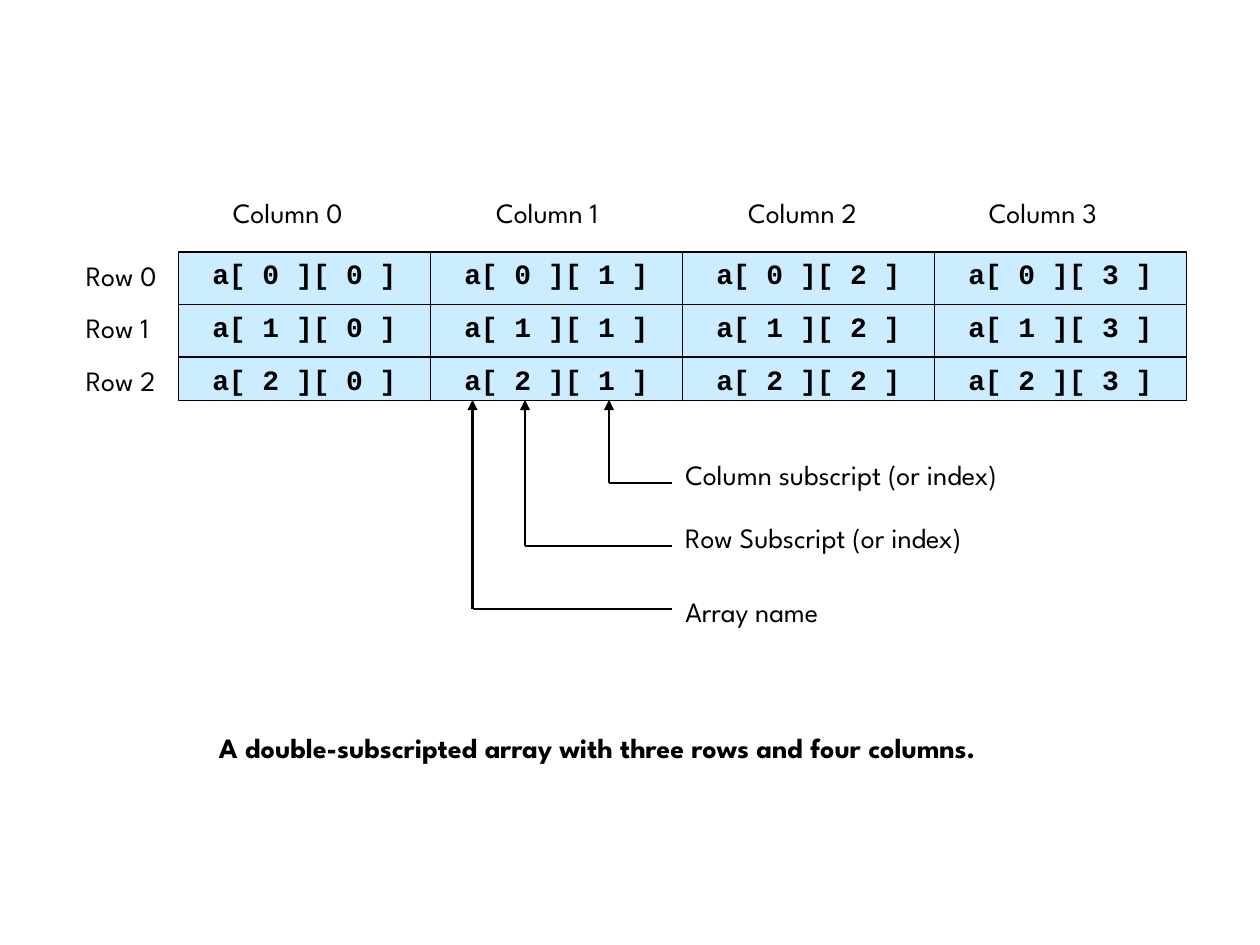
from dataclasses import dataclass
from lxml.etree import SubElement
from pptx import Presentation
from pptx.dml.color import RGBColor
from pptx.enum.shapes import MSO_CONNECTOR as Connector, MSO_SHAPE as Shape
from pptx.enum.text import MSO_ANCHOR as Anchor, PP_ALIGN as Align
from pptx.oxml.ns import qn
from pptx.util import Pt


@dataclass(frozen=True)
class Theme:
    ink: RGBColor = RGBColor(0x00, 0x00, 0x00)
    cell: RGBColor = RGBColor(0xCC, 0xEC, 0xFF)
    label_font: str = "League Spartan"
    code_font: str = "Courier New"
    size: int = 16
    thin: float = 0.75
    thick: float = 1.5


theme = Theme()
deck = Presentation()
deck.slide_width, deck.slide_height = Pt(720), Pt(540)
page = deck.slides.add_slide(deck.slide_layouts[6])


def add_text(box, lines, font, bold=False, align=Align.LEFT, anchor=Anchor.TOP):
    frame = box.text_frame
    frame.word_wrap = True
    frame.vertical_anchor = anchor
    for index, line in enumerate(lines):
        para = frame.paragraphs[0] if index == 0 else frame.add_paragraph()
        para.alignment = align
        if index:
            para.space_before = Pt(11)
        span = para.add_run()
        span.text = line
        for name, value in {"name": font, "size": Pt(theme.size), "bold": bold}.items():
            setattr(span.font, name, value)
        span.font.color.rgb = theme.ink


def add_line(x1, y1, x2, y2, width, arrow=False):
    line = page.shapes.add_connector(Connector.STRAIGHT, Pt(x1), Pt(y1), Pt(x2), Pt(y2))
    line.line.color.rgb = theme.ink
    line.line.width = Pt(width)
    if arrow:
        SubElement(line.line._get_or_add_ln(), qn("a:headEnd"), type="triangle")
    SubElement(line._element.spPr, qn("a:effectLst"))


# Array grid: one box per column, divided by row lines
rows, columns = 3, 4
left, top, column_width, row_height, grid_height = 102, 144, 144, 30, 85
for column in range(columns):
    x = left + column * column_width
    box = page.shapes.add_shape(Shape.RECTANGLE, Pt(x), Pt(top), Pt(column_width), Pt(grid_height))
    box.shadow.inherit = False
    box.fill.solid()
    box.fill.fore_color.rgb = theme.cell
    box.line.color.rgb = theme.ink
    box.line.width = Pt(theme.thin)
    cells = [f"a[ {row} ][ {column} ]" for row in range(rows)]
    add_text(box, cells, theme.code_font, True, Align.CENTER, Anchor.MIDDLE)
    for row in range(1, rows):
        y = top + row * row_height
        add_line(x, y, x + column_width, y, theme.thin)

# Row, column and subscript labels, and the caption
labels = [(f"Row {row}", 42, top + row * row_height, 61, False) for row in range(rows)]
labels += [(f"Column {column}", x, 108, 88.5, False)
           for column, x in enumerate((126, 276.5, 420.5, 558))]
labels += [
    ("Column subscript (or index)", 384.5, 258, 225.5, False),
    ("Row Subscript (or index)", 384.5, 294, 199.5, False),
    ("Array name", 384.5, 336, 106, False),
    ("A double-subscripted array with three rows and four columns.", 118, 414, 489, True),
]
for text, x, y, width, bold in labels:
    box = page.shapes.add_textbox(Pt(x), Pt(y), Pt(width), Pt(26.6))
    add_text(box, [text], theme.label_font, bold)

# Elbow pointers from the labels up to the parts of a[ 2 ][ 1 ]
for x, y in ((348, 276), (270, 348), (300, 312)):
    add_line(x, 228.5, x, y, theme.thick, arrow=True)
    add_line(x, y, 384, y, theme.thick)

deck.save("out.pptx")
